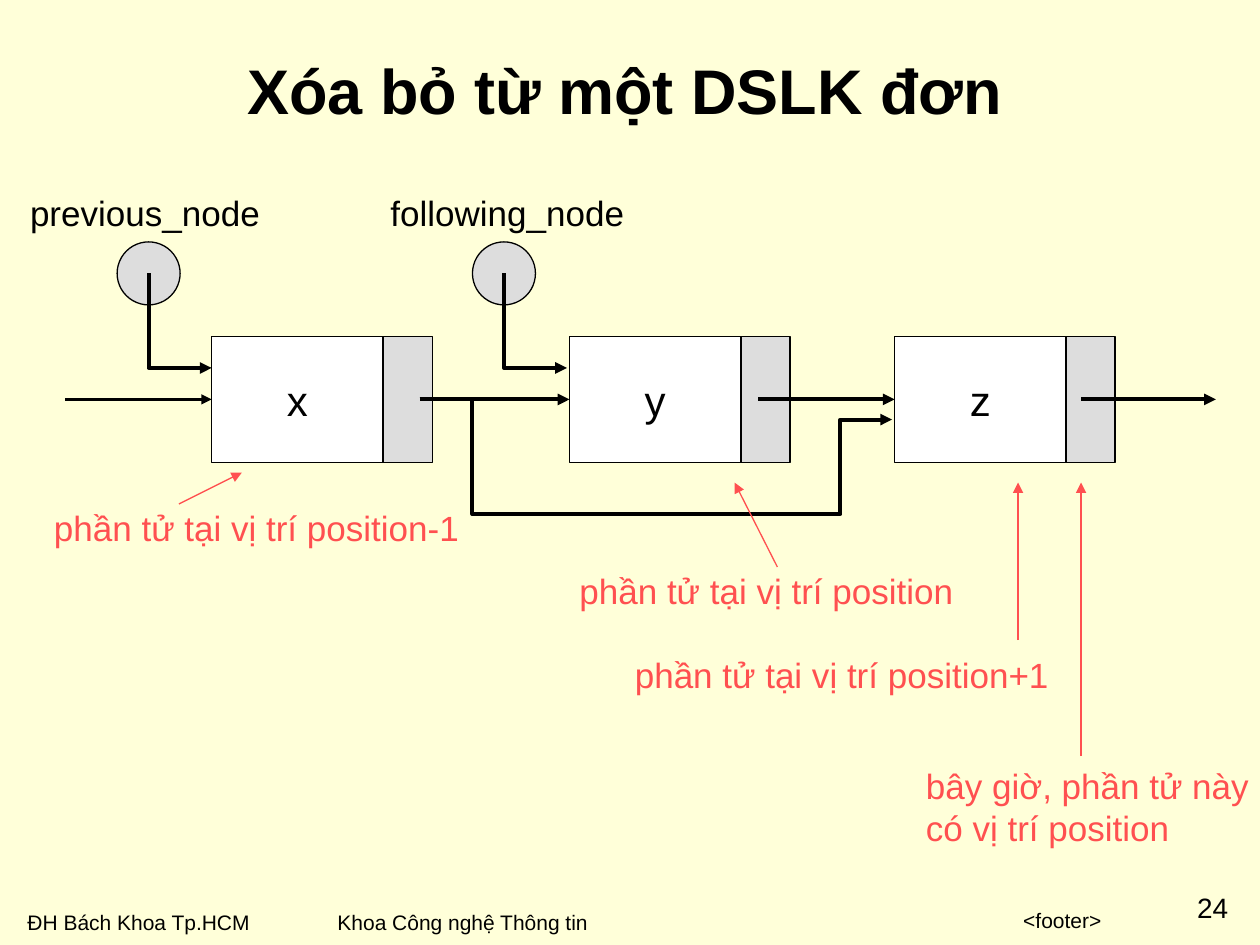
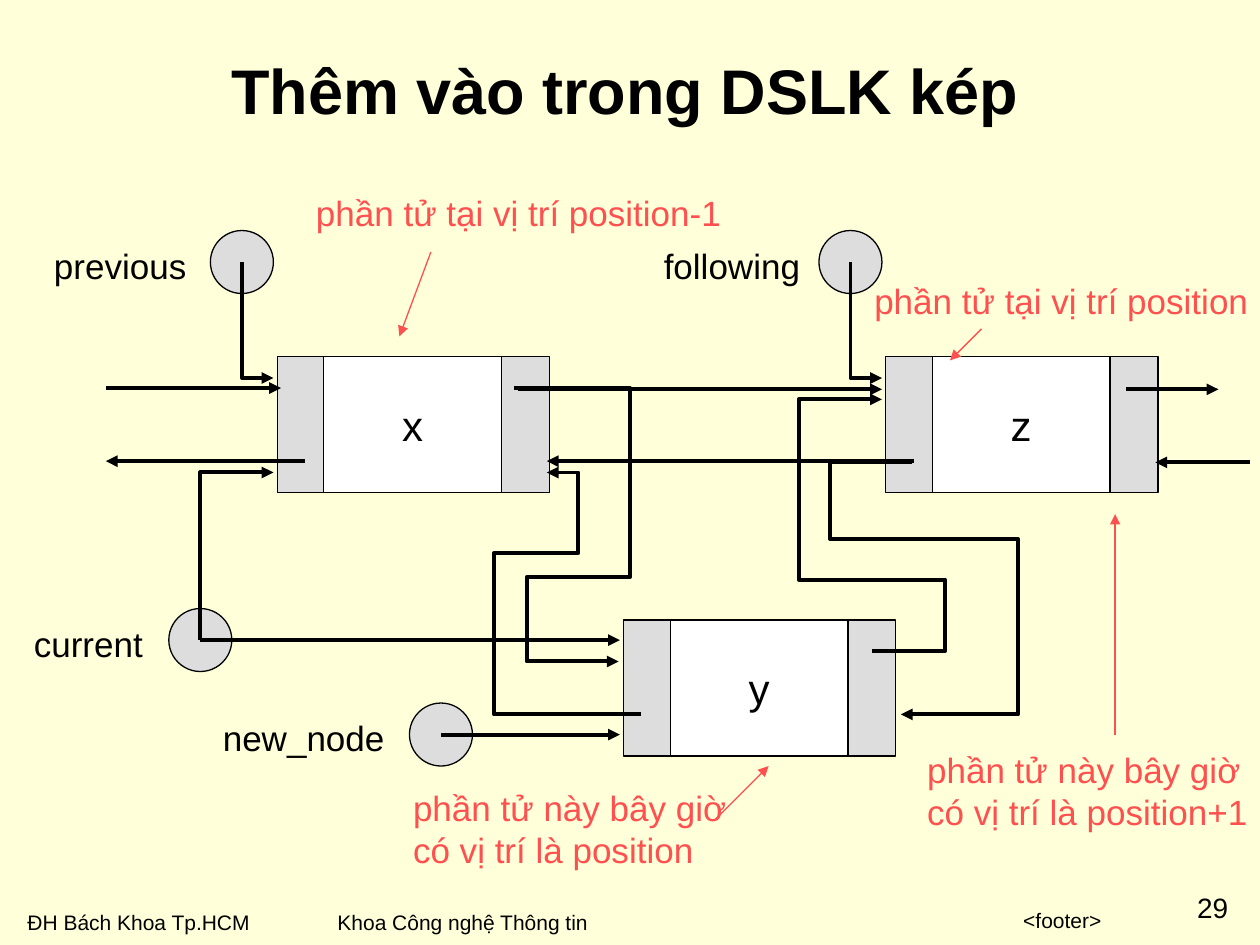
from lxml import etree
from pptx import Presentation
from pptx import util as u
from pptx.dml.color import RGBColor
from pptx.enum import shapes, text
from pptx.oxml.ns import qn


class Theme:
    font = "Arial"
    paper = RGBColor.from_string("FFFFD9")
    ink = RGBColor.from_string("000000")
    data = RGBColor.from_string("FFFFFF")
    pointer = RGBColor.from_string("DDDDDD")
    note = RGBColor.from_string("FF5050")
    title_size, node_size, label_size, page_size, footer_size = 36, 24, 20, 16, 12
    thin, medium, thick = 0.75, 1.5, 2.25


def write(shape, words, size, color=Theme.ink, bold=False,
          align=text.PP_ALIGN.LEFT, frame_format=None):
    frame = shape.text_frame
    frame.text = words
    for name, value in {"word_wrap": False, **(frame_format or {})}.items():
        setattr(frame, name, value)
    for paragraph in frame.paragraphs:
        paragraph.alignment = align
        for run in paragraph.runs:
            run.font.color.rgb = color
            for name, value in {"name": Theme.font, "size": u.Pt(size), "bold": bold}.items():
                setattr(run.font, name, value)


def draw_arrow(slide, points, color=Theme.ink, width=Theme.thick):
    start, *rest = [(u.Inches(x), u.Inches(y)) for x, y in points]
    if len(rest) == 1:
        arrow = slide.shapes.add_connector(shapes.MSO_CONNECTOR.STRAIGHT, *start, *rest[0])
    else:
        builder = slide.shapes.build_freeform(*start, scale=1.0)
        builder.add_line_segments(rest, close=False)
        arrow = builder.convert_to_shape()
        arrow.fill.background()
        arrow.shadow.inherit = False
    arrow.line.color.rgb = color
    arrow.line.width = u.Pt(width)
    properties = arrow.element.spPr
    etree.SubElement(properties.find(qn("a:ln")), qn("a:tailEnd"), type="triangle")
    if len(rest) == 1:
        etree.SubElement(properties, qn("a:effectLst"))
    return arrow


CENTER, RIGHT = text.PP_ALIGN.CENTER, text.PP_ALIGN.RIGHT
MIDDLE = {"vertical_anchor": text.MSO_ANCHOR.MIDDLE}
GROW = {"auto_size": text.MSO_AUTO_SIZE.SHAPE_TO_FIT_TEXT}
FIXED = {"auto_size": text.MSO_AUTO_SIZE.NONE}
NO_MARGINS = dict.fromkeys(("margin_left", "margin_top", "margin_right", "margin_bottom"), 0)
CIRCLE = 0.5

single_list = {
    "title": "Xóa bỏ từ một DSLK đơn",
    "page": "24",
    "cells": [(1.36, Theme.data), (0.39, Theme.pointer)],
    "node_height": 1,
    "nodes": [("x", 1.68, 2.67), ("y", 4.52, 2.67), ("z", 7.1, 2.67)],
    "circles": [(0.93, 1.92), (3.75, 1.92)],
    "labels": [("previous_node", 0.14, 1.47, 2.07), ("following_node", 3, 1.47, 2.1)],
    "links": [
        ([(0.52, 3.17), (1.68, 3.17)], Theme.medium, "x"),
        ([(3.33, 3.17), (4.52, 3.17)], Theme.thick, "y"),
        ([(6.02, 3.17), (7.1, 3.17)], Theme.thick, "z"),
        ([(8.58, 3.17), (9.65, 3.17)], Theme.thick, None),
        ([(1.18, 2.17), (1.18, 2.92), (1.68, 2.92)], Theme.thick, None),
        ([(4, 2.17), (4, 2.92), (4.5, 2.92)], Theme.thick, None),
        ([(3.33, 3.17), (3.75, 3.17), (3.75, 4.08), (6.67, 4.08), (6.67, 3.33), (7.08, 3.33)],
         Theme.thick, None),
    ],
    "notes": [
        ("phần tử tại vị trí position-1", 0.33, 3.97, 3.47, [(1.42, 4), (1.92, 3.75)]),
        ("phần tử tại vị trí position", 4.5, 4.47, 3.22, [(6.17, 4.5), (5.83, 3.83)]),
        ("phần tử tại vị trí position+1", 4.94, 5.14, 3.54, [(8.08, 5.08), (8.08, 3.83)]),
        ("bây giờ, phần tử này\ncó vị trí position", 7.25, 6.02, 2.84, [(8.58, 6), (8.58, 3.83)]),
    ],
}

double_list = {
    "title": "Thêm vào trong DSLK kép",
    "page": "29",
    "cells": [(0.37, Theme.pointer), (1.41, Theme.data), (0.38, Theme.pointer)],
    "node_height": 1.08,
    "nodes": [("x", 2.2, 2.83), ("y", 4.95, 4.92), ("z", 7.03, 2.83)],
    "circles": [(1.34, 4.83), (1.67, 1.83), (6.5, 1.83), (3.25, 5.58)],
    "labels": [
        ("current", 0.17, 4.89, 1.11),
        ("previous", 0.33, 1.89, 1.3),
        ("following", 5.17, 1.89, 1.33),
        ("new_node", 1.67, 5.64, 1.53),
    ],
    "links": [(route, Theme.thick, None) for route in (
        [(4.11, 3.09), (7, 3.09)],
        [(2.42, 3.66), (0.84, 3.66)],
        [(8.94, 3.09), (9.67, 3.09)],
        [(7.25, 3.66), (4.34, 3.66)],
        [(9.92, 3.67), (9.17, 3.67)],
        [(0.84, 3.08), (2.23, 3.08)],
        [(1.59, 5.08), (4.92, 5.08)],
        [(3.5, 5.83), (4.92, 5.83)],
        [(1.92, 2.08), (1.92, 3), (2.17, 3)],
        [(6.75, 2.08), (6.75, 3), (7, 3)],
        [(1.59, 5.08), (1.59, 3.75), (2.17, 3.75)],
        [(6.92, 5.17), (7.5, 5.17), (7.5, 4.6), (6.34, 4.6), (6.34, 3.17), (7, 3.17)],
        [(7.24, 3.67), (6.59, 3.67), (6.59, 4.28), (8.08, 4.28), (8.08, 5.67), (7.15, 5.67)],
        [(5.09, 5.67), (3.92, 5.67), (3.92, 4.39), (4.59, 4.39), (4.59, 3.75), (4.34, 3.75)],
        [(4.08, 3.08), (5, 3.08), (5, 4.58), (4.18, 4.58), (4.18, 5.25), (4.91, 5.25)],
    )],
    "notes": [
        ("phần tử tại vị trí position-1", 2.41, 1.47, 3.47, [(3.42, 2), (3.17, 2.67)]),
        ("phần tử tại vị trí position", 6.84, 2.17, 3.22, [(7.79, 2.61), (7.54, 2.86)]),
        ("phần tử này bây giờ\ncó vị trí là position", 3.18, 6.19, 2.74,
         [(5.68, 6.5), (6.1, 6.08)]),
        ("phần tử này bây giờ\ncó vị trí là position+1", 7.26, 5.89, 2.8,
         [(8.85, 5.83), (8.85, 4.08)]),
    ],
}

deck = Presentation()
deck.slide_width, deck.slide_height = u.Inches(10), u.Inches(7.5)
background = deck.slide_master.background.fill
background.solid()
background.fore_color.rgb = Theme.paper

for diagram in (single_list, double_list):
    slide = deck.slides.add_slide(deck.slide_layouts[6])

    furniture = [
        ("ĐH Bách Khoa Tp.HCM", (0.12, 7.17, 1.97, 0.3), Theme.footer_size, {}),
        ("<footer>", (3.17, 7.15, 5.67, 0.3), Theme.footer_size,
         {"align": RIGHT, "frame_format": {**GROW, "word_wrap": True}}),
        (diagram["page"], (9.41, 7.07, 0.43, 0.27), Theme.page_size,
         {"align": CENTER, "frame_format": {**GROW, **NO_MARGINS, "word_wrap": True}}),
        ("Khoa Công nghệ Thông tin", (2.58, 7.17, 2.19, 0.3), Theme.footer_size, {}),
        (diagram["title"], (0.92, 0.08, 8.08, 1.25), Theme.title_size,
         {"align": CENTER, "bold": True, "frame_format": {**MIDDLE, "word_wrap": True}}),
    ]
    for words, place, size, style in furniture:
        box = slide.shapes.add_textbox(*map(u.Inches, place))
        write(box, words, size, **{"frame_format": GROW, **style})

    outlined = []
    first_cells = {}
    for name, left, top in diagram["nodes"]:
        for width, color in diagram["cells"]:
            cell = slide.shapes.add_shape(
                shapes.MSO_SHAPE.RECTANGLE,
                *map(u.Inches, (left, top, width, diagram["node_height"])))
            outlined.append((cell, color))
            first_cells.setdefault(name, cell)
            if color == Theme.data:
                write(cell, name, Theme.node_size, align=CENTER, frame_format=MIDDLE)
            left += width

    for left, top in diagram["circles"]:
        circle = slide.shapes.add_shape(
            shapes.MSO_SHAPE.OVAL, *map(u.Inches, (left, top, CIRCLE, CIRCLE)))
        outlined.append((circle, Theme.pointer))

    for shape, color in outlined:
        shape.shadow.inherit = False
        shape.fill.solid()
        shape.fill.fore_color.rgb = color
        shape.line.color.rgb = Theme.ink
        shape.line.width = u.Pt(Theme.thin)

    for words, left, top, width in diagram["labels"]:
        label = slide.shapes.add_textbox(*map(u.Inches, (left, top, width, 0.44)))
        write(label, words, Theme.label_size, frame_format=FIXED)

    for points, width, target in diagram["links"]:
        link = draw_arrow(slide, points, width=width)
        if target:
            link.end_connect(first_cells[target], 1)

    for words, left, top, width, points in diagram["notes"]:
        height = 0.44 + 0.33 * words.count("\n")
        note = slide.shapes.add_textbox(*map(u.Inches, (left, top, width, height)))
        write(note, words, Theme.label_size, Theme.note, frame_format=FIXED)
        draw_arrow(slide, points, Theme.note, Theme.thin)

deck.save("out.pptx")
